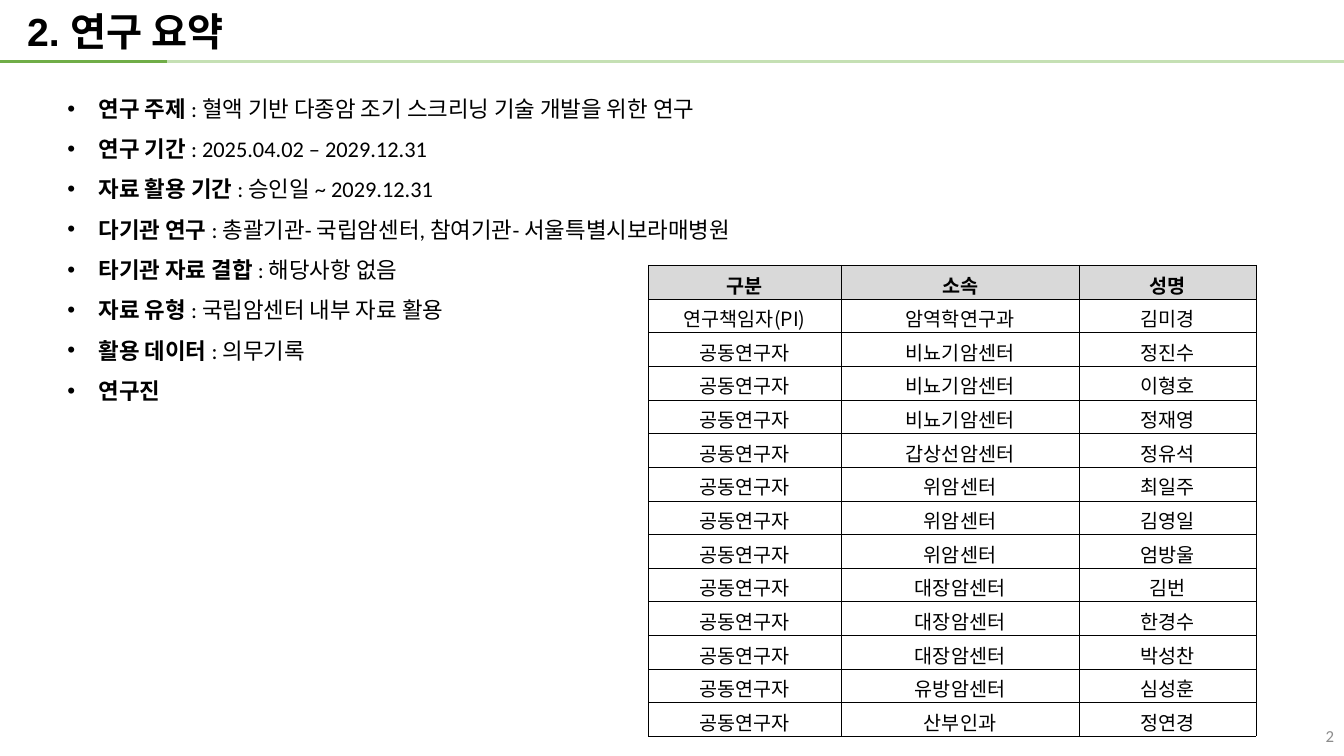
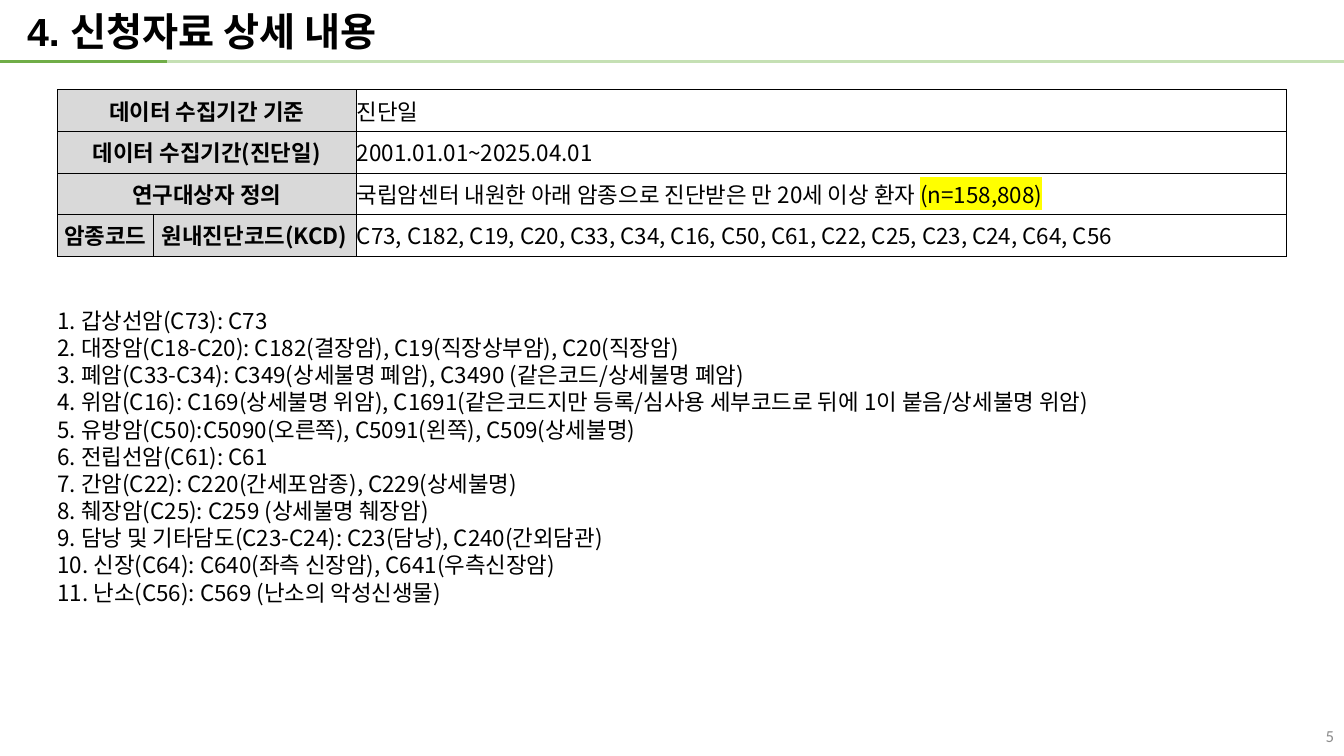
from lxml.etree import SubElement
from pptx import Presentation
from pptx.dml.color import RGBColor
from pptx.enum.shapes import MSO_CONNECTOR
from pptx.enum.text import MSO_ANCHOR, MSO_AUTO_SIZE, PP_ALIGN
from pptx.oxml.ns import qn
from pptx.util import Inches, Pt

W, H = Inches(13.33), Inches(7.5)
BLACK = RGBColor(0x00, 0x00, 0x00)
GREY = RGBColor(0x8C, 0x8C, 0x8C)
HEADER = RGBColor(0xD9, 0xD9, 0xD9)
GREEN = RGBColor(0x70, 0xAD, 0x47)
PALE_GREEN = RGBColor(0xC5, 0xE0, 0xB4)
YELLOW = RGBColor(0xFF, 0xFF, 0x00)
TITLE_FONT, BODY_FONT, TABLE_FONT = "Arial", "Calibri", "Noto Sans CJK KR"
NO_STYLE = "{2D5ABB26-0587-4C30-8999-92F81FD0307C}"

SUMMARY = [
    ("연구 주제 ", ": 혈액 기반 다종암 조기 스크리닝 기술 개발을 위한 연구"),
    ("연구 기간 ", ": 2025.04.02 – 2029.12.31"),
    ("자료 활용 기간 ", ": 승인일 ~ 2029.12.31"),
    ("다기관 연구 ", ": 총괄기관- 국립암센터, 참여기관- 서울특별시보라매병원"),
    ("타기관 자료 결합 ", ": 해당사항 없음"),
    ("자료 유형 ", ": 국립암센터 내부 자료 활용"),
    ("활용 데이터 ", ": 의무기록"),
    ("연구진", ""),
]
INVESTIGATORS = [
    ("비뇨기암센터", ["정진수", "이형호", "정재영"]),
    ("갑상선암센터", ["정유석"]),
    ("위암센터", ["최일주", "김영일", "엄방울"]),
    ("대장암센터", ["김번", "한경수", "박성찬"]),
    ("유방암센터", ["심성훈"]),
    ("산부인과", ["정연경"]),
]
TEAM = [("구분", "소속", "성명"), ("연구책임자(PI)", "암역학연구과", "김미경")] + [
    ("공동연구자", center, name) for center, names in INVESTIGATORS for name in names
]
CRITERIA = [
    ("데이터 수집기간 기준", "", "진단일"),
    ("데이터 수집기간(진단일)", "", "2001.01.01~2025.04.01"),
    ("연구대상자 정의", "", "국립암센터 내원한 아래 암종으로 진단받은 만 20세 이상 환자 "),
    ("암종코드", "원내진단코드(KCD)",
     "C73, C182, C19, C20, C33, C34, C16, C50, C61, C22, C25, C23, C24, C64, C56"),
]
COHORT_SIZE = "(n=158,808)"
CODES = [
    "갑상선암(C73): C73",
    "대장암(C18-C20): C182(결장암), C19(직장상부암), C20(직장암)",
    "폐암(C33-C34): C349(상세불명 폐암), C3490 (같은코드/상세불명 폐암)",
    "위암(C16): C169(상세불명 위암), C1691(같은코드지만 등록/심사용 세부코드로 뒤에 1이 붙음/상세불명 위암)",
    "유방암(C50):C5090(오른쪽), C5091(왼쪽), C509(상세불명)",
    "전립선암(C61): C61",
    "간암(C22): C220(간세포암종), C229(상세불명)",
    "췌장암(C25): C259 (상세불명 췌장암)",
    "담낭 및 기타담도(C23-C24): C23(담낭), C240(간외담관)",
    "신장(C64): C640(좌측 신장암), C641(우측신장암)",
    "난소(C56): C569 (난소의 악성신생물)",
]


def box(x, y, w, h):
    """Turn percentages of the slide into a left, top, width, height box."""
    return int(W * x / 100), int(H * y / 100), int(W * w / 100), int(H * h / 100)


def style(r, font, size, color=BLACK, bold=False):
    """Format one run."""
    r.font.name, r.font.size, r.font.bold = font, Pt(size), bold
    r.font.color.rgb = color


def add_text(s, area, wrap=False):
    """Add an empty text box and return its frame."""
    tf = s.shapes.add_textbox(*area).text_frame
    tf.word_wrap = wrap
    tf.auto_size = MSO_AUTO_SIZE.NONE if wrap else MSO_AUTO_SIZE.SHAPE_TO_FIT_TEXT
    return tf


def add_rule(s, start, end, color):
    """Draw one part of the rule below the title."""
    x, y, w, _ = box(start, 8.13, end - start, 0)
    line = s.shapes.add_connector(MSO_CONNECTOR.STRAIGHT, x, y, x + w, y)
    line.line.color.rgb, line.line.width = color, Pt(2.25)
    SubElement(line._element.spPr, qn("a:effectLst"))


def add_frame(prs, title, title_width, number):
    """Add a slide with its rule, page number and title."""
    s = prs.slides.add_slide(prs.slide_layouts[6])
    add_rule(s, 12.45, 100, PALE_GREEN)
    add_rule(s, 0, 12.45, GREEN)
    tf = add_text(s, box(77.5, 94.67, 22.5, 5.33), wrap=True)
    tf.vertical_anchor = MSO_ANCHOR.MIDDLE
    tf.text = str(number)
    tf.paragraphs[0].alignment = PP_ALIGN.RIGHT
    style(tf.paragraphs[0].runs[0], BODY_FONT, 12, GREY)
    tf = add_text(s, box(1.28, 0.27, title_width, 7.6))
    tf.text = title
    style(tf.paragraphs[0].runs[0], TITLE_FONT, 28, bold=True)
    return s


def add_bullets(s, area, items):
    """List label and value pairs as bullets."""
    tf = add_text(s, area)
    for i, (label, value) in enumerate(items):
        p = tf.add_paragraph() if i else tf.paragraphs[0]
        p.line_spacing = 1.5
        for text, bold in ((label, True), (value, False)):
            if text:
                r = p.add_run()
                r.text = text
                style(r, BODY_FONT, 16, bold=bold)
        pPr = p._p.get_or_add_pPr()
        pPr.set("marL", str(Inches(0.31)))
        pPr.set("indent", str(-Inches(0.31)))
        SubElement(pPr, qn("a:buFont"), typeface="Arial")
        SubElement(pPr, qn("a:buChar"), char="•")


def add_borders(cell, width):
    """Draw black lines on all sides of a cell, before its fill."""
    tcPr = cell._tc.get_or_add_tcPr()
    for i, side in enumerate(("lnL", "lnR", "lnT", "lnB")):
        ln = SubElement(tcPr, qn(f"a:{side}"), w=str(Pt(width)))
        fill = SubElement(ln, qn("a:solidFill"))
        SubElement(fill, qn("a:srgbClr"), val=str(BLACK))
        tcPr.insert(i, ln)


def add_grid(s, area, rows, shares, size, is_header, centred, border=0, inset=None):
    """Add a table whose columns are shares of its box and rows are equal."""
    shape = s.shapes.add_table(len(rows), len(shares), *area)
    table = shape.table
    table.first_row = table.horz_banding = False
    table._tbl.tblPr.find(qn("a:tableStyleId")).text = NO_STYLE
    for column, share in zip(table.columns, shares):
        column.width = int(area[2] * share / sum(shares))
    for i, values in enumerate(rows):
        table.rows[i].height = area[3] // len(rows)
        for j, value in enumerate(values):
            cell, header = table.cell(i, j), is_header(i, j)
            cell.vertical_anchor = MSO_ANCHOR.MIDDLE
            if inset is not None:
                cell.margin_left = cell.margin_right = Inches(inset)
                cell.margin_top = cell.margin_bottom = Inches(inset)
            if header:
                cell.fill.solid()
                cell.fill.fore_color.rgb = HEADER
            else:
                cell.fill.background()
            if border:
                add_borders(cell, border)
            p = cell.text_frame.paragraphs[0]
            p.text = value
            p.alignment = PP_ALIGN.CENTER if header or centred else PP_ALIGN.LEFT
            for r in p.runs:
                style(r, TABLE_FONT, size, bold=header)
    return table


def add_highlight(p, text, size):
    """Append a run on a yellow background."""
    r = p.add_run()
    r.text = text
    style(r, TABLE_FONT, size)
    rPr = r._r.get_or_add_rPr()
    mark = SubElement(rPr, qn("a:highlight"))
    SubElement(mark, qn("a:srgbClr"), val=str(YELLOW))
    rPr.find(qn("a:solidFill")).addnext(mark)


def add_summary_slide(prs):
    """Build the study summary with its team table."""
    s = add_frame(prs, "2. 연구 요약", 17.85, 2)
    add_bullets(s, box(4.28, 10.13, 55.21, 43.87), SUMMARY)
    add_grid(s, box(48.24, 35.07, 45.2, 62.27), TEAM, (1.91, 2.37, 1.75), 14,
             lambda i, j: i == 0, centred=True, border=0.28)


def add_data_slide(prs):
    """Build the requested data slide with criteria and diagnosis codes."""
    s = add_frame(prs, "4. 신청자료 상세 내용", 31.73, 5)
    table = add_grid(s, box(4.28, 11.87, 91.45, 22), CRITERIA, (0.95, 2.01, 9.23), 16,
                     lambda i, j: j < 2, centred=False, border=0.5, inset=0.01)
    for i in range(3):
        table.cell(i, 0).merge(table.cell(i, 1))
    add_highlight(table.cell(2, 2).text_frame.paragraphs[0], COHORT_SIZE, 16)
    codes = [(f"{i}. {code}",) for i, code in enumerate(CODES, 1)]
    add_grid(s, box(4.28, 40.13, 91.45, 39.6), codes, (1,), 16,
             lambda i, j: False, centred=False, inset=0)


def main():
    """Build and save the deck."""
    prs = Presentation()
    prs.slide_width, prs.slide_height = W, H
    add_summary_slide(prs)
    add_data_slide(prs)
    prs.save("out.pptx")


if __name__ == "__main__":
    main()
